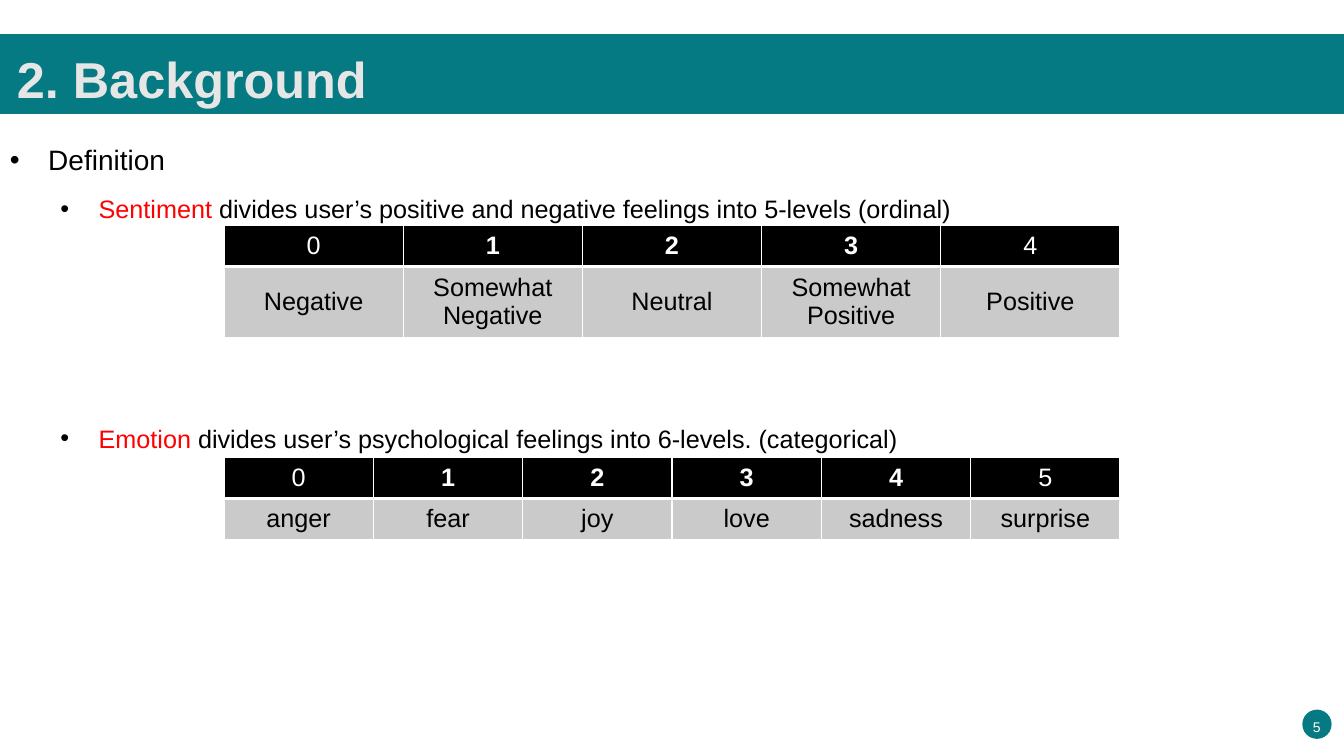
"""Builds the Background slide with its sentiment and emotion level tables."""
from lxml import etree
from pptx import Presentation
from pptx import util as u
from pptx.dml.color import RGBColor
from pptx.enum import shapes, text
from pptx.oxml import ns

WIDTH, HEIGHT = u.Inches(13.33), u.Inches(7.5)
FONT = "Arial"
COLORS = {
    "teal": "067A82", "title": "E7E6E6", "white": "FFFFFF",
    "black": "000000", "red": "FF0000", "gray": "CACACA",
}
ROW = 5.4
SENTIMENTS = ["Negative", "Somewhat Negative", "Neutral", "Somewhat Positive", "Positive"]
EMOTIONS = ["anger", "fear", "joy", "love", "sadness", "surprise"]


def color(name):
    """Return the named palette colour."""
    return RGBColor.from_string(COLORS[name])


def across(percent):
    """Return a percentage of the slide width."""
    return u.Emu(round(WIDTH * percent / 100))


def down(percent):
    """Return a percentage of the slide height."""
    return u.Emu(round(HEIGHT * percent / 100))


def area(left, top, width, height):
    """Return a box in slide lengths from percentages."""
    return across(left), down(top), across(width), down(height)


def style_run(run, size, color_name, bold=False):
    """Set the font of one run."""
    run.font.name = FONT
    run.font.size = u.Pt(size)
    run.font.bold = bold
    run.font.color.rgb = color(color_name)


def add_block(slide, kind, box):
    """Add a plain teal shape."""
    shape = slide.shapes.add_shape(kind, *box)
    shape.shadow.inherit = False
    shape.fill.solid()
    shape.fill.fore_color.rgb = color("teal")
    shape.line.fill.background()


def add_text_frame(slide, box, anchor=text.MSO_ANCHOR.TOP):
    """Add a wrapping text box and return its text frame."""
    frame = slide.shapes.add_textbox(*box).text_frame
    frame.word_wrap = True
    frame.vertical_anchor = anchor
    return frame


def add_label(slide, box, wording, size, color_name, align, anchor, bold=False):
    """Add a single styled line of text."""
    paragraph = add_text_frame(slide, box, anchor).paragraphs[0]
    paragraph.text = wording
    paragraph.alignment = align
    paragraph.line_spacing = 1.5
    style_run(paragraph.runs[0], size, color_name, bold)


def add_bullet(paragraph, level, size, parts, space_before):
    """Fill a bulleted paragraph with coloured parts."""
    paragraph.level = level
    paragraph.line_spacing = 1.5
    paragraph.space_before = u.Pt(space_before)
    for wording, color_name in parts:
        run = paragraph.add_run()
        run.text = wording
        style_run(run, size, color_name)
    properties = paragraph._p.get_or_add_pPr()
    properties.set("marL", str(u.Inches(0.38 + 0.5 * level)))
    properties.set("indent", str(u.Inches(-0.38)))
    bullet_color = etree.SubElement(properties, ns.qn("a:buClr"))
    etree.SubElement(bullet_color, ns.qn("a:srgbClr"), val=COLORS["black"])
    etree.SubElement(properties, ns.qn("a:buFont"), typeface=FONT)
    etree.SubElement(properties, ns.qn("a:buChar"), char="•")


def set_borders(cell, widths):
    """Give a cell white borders, with widths in points by side."""
    properties = cell._tc.get_or_add_tcPr()
    for position, (side, width) in enumerate(widths.items()):
        line = etree.Element(ns.qn(f"a:ln{side}"), w=str(u.Pt(width)))
        fill = etree.SubElement(line, ns.qn("a:solidFill"))
        etree.SubElement(fill, ns.qn("a:srgbClr"), val=COLORS["white"])
        properties.insert(position, line)


def fill_cell(cell, wording, fill, font_color, bold, bottom, top):
    """Write and format one table cell."""
    cell.text = wording
    cell.vertical_anchor = text.MSO_ANCHOR.MIDDLE
    cell.fill.solid()
    cell.fill.fore_color.rgb = color(fill)
    paragraph = cell.text_frame.paragraphs[0]
    paragraph.alignment = text.PP_ALIGN.CENTER
    style_run(paragraph.runs[0], 18, font_color, bold)
    set_borders(cell, {"L": 1, "R": 1, "T": top, "B": bottom})


def add_levels(slide, top, names, body_height):
    """Add a table that numbers the level names from zero."""
    box = area(100 / 6, top, 200 / 3, ROW + body_height)
    table = slide.shapes.add_table(2, len(names), *box).table
    table.horz_banding = False
    table.rows[0].height = down(ROW)
    table.rows[1].height = down(body_height)
    for index, name in enumerate(names):
        inner = 0 < index < len(names) - 1
        fill_cell(table.cell(0, index), str(index), "black", "white", inner, 3, 1)
        fill_cell(table.cell(1, index), name, "gray", "black", False, 1, 3)


def main():
    """Build and save the slide."""
    presentation = Presentation()
    presentation.slide_width, presentation.slide_height = WIDTH, HEIGHT
    slide = presentation.slides.add_slide(presentation.slide_layouts[6])

    add_block(slide, shapes.MSO_SHAPE.OVAL, area(96.9, 93.87, 2.18, 3.87))
    add_label(slide, area(95.95, 93.33, 4.05, 4.4), "5", 10, "white",
              text.PP_ALIGN.CENTER, text.MSO_ANCHOR.TOP)
    add_block(slide, shapes.MSO_SHAPE.RECTANGLE, area(0, 4.53, 100, 10.53))
    add_label(slide, area(0.52, 2.27, 99.48, 12.27), "2. Background", 36, "title",
              text.PP_ALIGN.LEFT, text.MSO_ANCHOR.MIDDLE, True)

    frame = add_text_frame(slide, area(0, 16, 100, 82.93))
    bullets = [
        (0, 20, [("Definition", "black")], 1.5),
        (1, 18, [("Sentiment", "red"),
                 (" divides user’s positive and negative feelings into 5-levels (ordinal)",
                  "black")], 1.5),
        (1, 18, [("Emotion", "red"),
                 (" divides user’s psychological feelings into 6-levels. (categorical)",
                  "black")], 131.5),
    ]
    for index, bullet in enumerate(bullets):
        paragraph = frame.add_paragraph() if index else frame.paragraphs[0]
        add_bullet(paragraph, *bullet)

    add_levels(slide, 29.87, SENTIMENTS, 9.4)
    add_levels(slide, 60.53, EMOTIONS, ROW)
    presentation.save("out.pptx")


if __name__ == "__main__":
    main()
